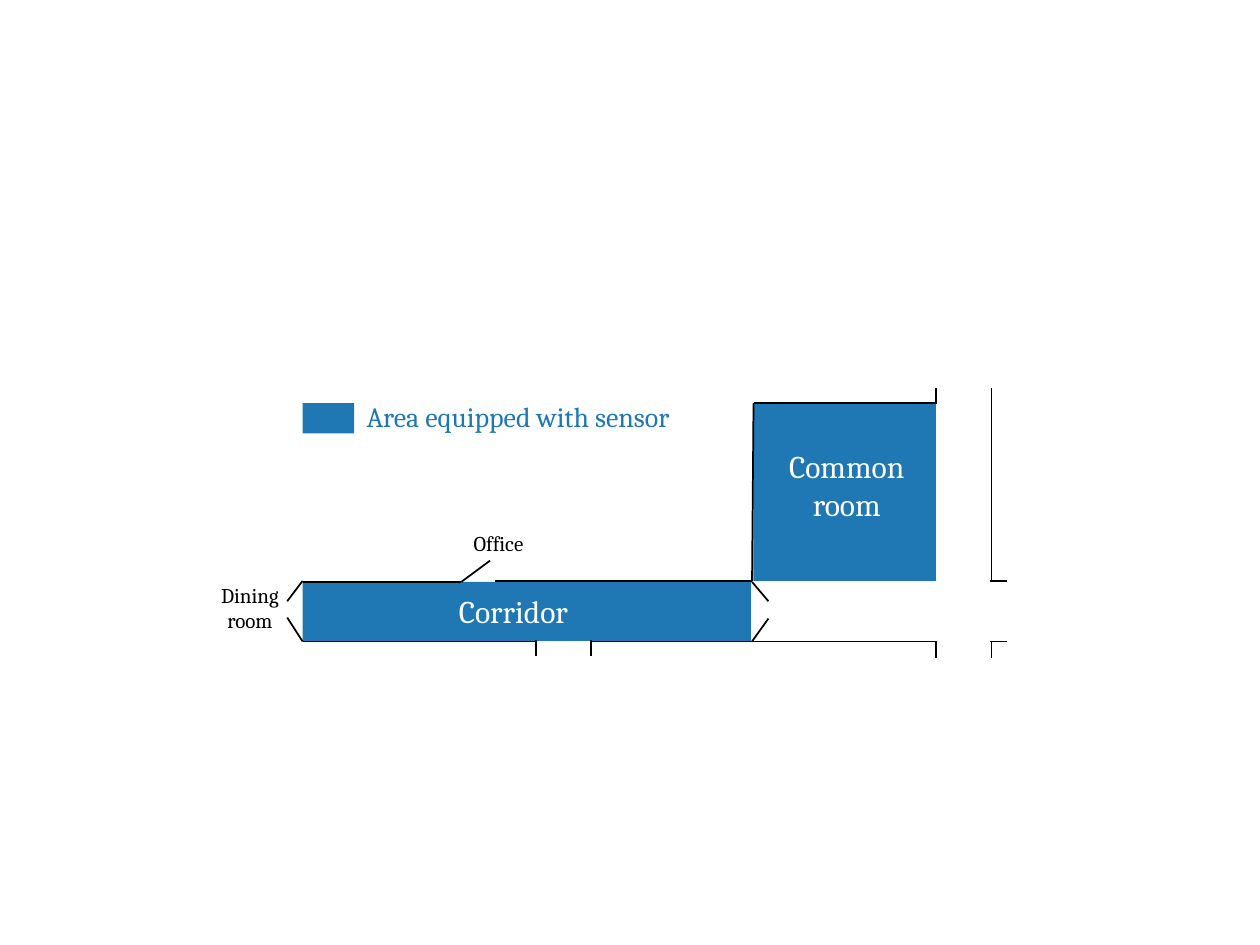
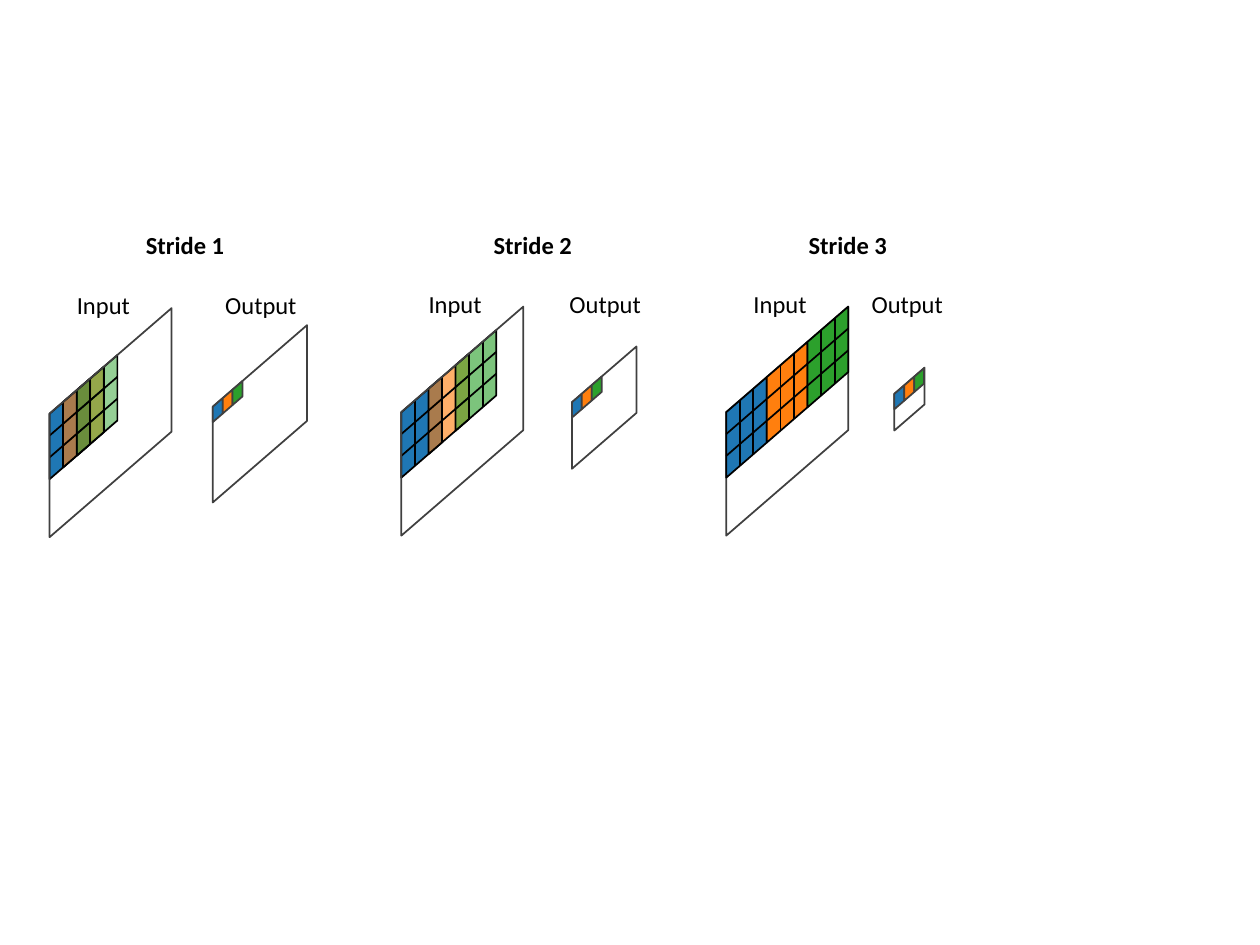
"""Draw a sensor floor plan and a comparison of convolution strides."""
from lxml import etree
from pptx import Presentation
from pptx.dml.color import RGBColor
from pptx.enum.shapes import MSO_CONNECTOR, MSO_SHAPE
from pptx.enum.text import MSO_AUTO_SIZE, PP_ALIGN
from pptx.oxml.ns import qn
from pptx.util import Cm, Pt

RECT, SLANT = MSO_SHAPE.RECTANGLE, MSO_SHAPE.PARALLELOGRAM
STRAIGHT = MSO_CONNECTOR.STRAIGHT
LEFT, CENTER = PP_ALIGN.LEFT, PP_ALIGN.CENTER
FIT = MSO_AUTO_SIZE.SHAPE_TO_FIT_TEXT

COLORS = {"blue": "1F77B4", "orange": "FF7F0E", "green": "2CA02C",
          "black": "000000", "white": "FFFFFF", "gray": "404040"}
STEP_COLORS = ("blue", "orange", "green")

SLOPE = 0.865
INPUT_W, INPUT_SIDE = 2.46, 2.49
KERNEL_W, KERNEL_SIDE = 0.82, 1.32
PIXEL_W, PIXEL_SIDE = 0.2, 0.31
CELLS = 3

WALLS = [
    (6.1, 11.73, 9.3, 11.73), (6.1, 12.93, 10.8, 12.93),
    (9.98, 11.71, 15.16, 11.71), (11.91, 12.93, 18.87, 12.93),
    (10.8, 12.9, 10.8, 13.23), (11.91, 12.9, 11.91, 13.23),
    (18.87, 12.93, 18.87, 13.26), (19.99, 12.93, 19.99, 13.26),
    (19.96, 12.93, 20.29, 12.93), (19.96, 11.71, 20.29, 11.71),
    (19.99, 8.13, 19.99, 11.73), (18.87, 8.13, 15.19, 8.13),
    (15.19, 8.13, 15.16, 11.71), (18.87, 7.82, 18.87, 8.15),
    (19.99, 7.82, 19.99, 8.15),
]
DOORS = [
    (9.3, 11.73, 9.88, 11.3),
    (15.16, 11.73, 15.49, 12.12), (15.49, 12.47, 15.16, 12.93),
    (6.1, 11.71, 5.79, 12.12), (5.79, 12.45, 6.1, 12.93),
]
SENSOR_AREAS = [(15.19, 8.13, 3.68, 3.58), (6.1, 11.73, 9.04, 1.19),
                (6.1, 8.13, 1.04, 0.61)]

STRIDES = [
    {"stride": 1, "title_x": 2.69, "input": (1.0, 8.34), "alphas": (100, 62, 50),
     "output": (4.29, 8.2), "output_size": (1.9, 1.93), "output_label_x": 4.29},
    {"stride": 2, "title_x": 9.7, "input": (8.09, 8.31), "alphas": (100, 62, 62),
     "output": (11.53, 8.11), "output_size": (1.3, 1.34), "output_label_x": 11.23},
    {"stride": 3, "title_x": 16.05, "input": (14.64, 8.31), "alphas": (100, 100, 100),
     "output": (18.03, 7.94), "output_size": (0.61, 0.74), "output_label_x": 17.32},
]


def rgb(name):
    """Return the named colour."""
    return RGBColor.from_string(COLORS[name])


def paint(sp, fill=None, line=None, alpha=100):
    """Set fill, opacity in percent and outline of a shape."""
    sp.shadow.inherit = False
    if fill:
        sp.fill.solid()
        sp.fill.fore_color.rgb = rgb(fill)
        if alpha < 100:
            clr = sp._element.spPr.find(qn("a:solidFill"))[0]
            etree.SubElement(clr, qn("a:alpha")).set("val", str(alpha * 1000))
    else:
        sp.fill.background()
    if line:
        sp.line.color.rgb = rgb(line)
        sp.line.width = Pt(1)
    else:
        sp.line.fill.background()


def add_area(shapes, x, y, w, h):
    """Add a filled rectangle without outline."""
    paint(shapes.add_shape(RECT, Cm(x), Cm(y), Cm(w), Cm(h)), "blue")


def add_line(shapes, x1, y1, x2, y2):
    """Add a thin black line."""
    cn = shapes.add_connector(STRAIGHT, Cm(x1), Cm(y1), Cm(x2), Cm(y2))
    cn.line.color.rgb = rgb("black")
    cn.line.width = Pt(1)
    etree.SubElement(cn._element.spPr, qn("a:effectLst"))


def add_text(shapes, x, y, w, h, lines, font, size, color="black", align=LEFT, bold=False):
    """Add an unwrapped label with one paragraph per line."""
    tf = shapes.add_textbox(Cm(x), Cm(y), Cm(w), Cm(h)).text_frame
    tf.word_wrap = False
    tf.auto_size = FIT
    for i, line in enumerate(lines):
        p = tf.add_paragraph() if i else tf.paragraphs[0]
        p.alignment = align
        r = p.add_run()
        r.text = line
        r.font.name = font
        r.font.size = Pt(size)
        r.font.bold = bold
        r.font.color.rgb = rgb(color)


def add_slanted(shapes, x, y, w, side, fill=None, line="gray", alpha=100):
    """Add an upright slanted plane whose upper left corner is x, y."""
    rise = w * SLOPE
    length = side + rise
    cx, cy = x + w / 2, y + (side - rise) / 2
    sp = shapes.add_shape(SLANT, Cm(cx - length / 2), Cm(cy - w / 2), Cm(length), Cm(w))
    sp.adjustments[0] = SLOPE
    sp.rotation = 270
    sp._element.spPr.find(qn("a:xfrm")).set("flipH", "1")
    paint(sp, fill, line, alpha)


def add_kernel(shapes, x, y, color, alpha):
    """Add a slanted kernel divided into equal cells."""
    group = shapes.add_group_shape().shapes
    add_slanted(group, x, y, KERNEL_W, KERNEL_SIDE, color, "black", alpha)
    for i in range(1, CELLS):
        row_y = y + i * KERNEL_SIDE / CELLS
        add_line(group, x, row_y, x + KERNEL_W, row_y - KERNEL_W * SLOPE)
    for i in range(1, CELLS):
        dx = i * KERNEL_W / CELLS
        top = y - dx * SLOPE
        add_line(group, x + dx, top, x + dx, top + KERNEL_SIDE)


def add_input(shapes, x, y, stride, alphas):
    """Add the input plane and the kernel positions on it."""
    if stride == CELLS:
        add_slanted(shapes, x, y, INPUT_W, INPUT_SIDE)
    for i, (color, alpha) in enumerate(zip(STEP_COLORS, alphas)):
        dx = i * stride * KERNEL_W / CELLS
        add_kernel(shapes, x + dx, y - dx * SLOPE, color, alpha)
    if stride < CELLS:
        add_slanted(shapes, x, y, INPUT_W, INPUT_SIDE)


def add_output(shapes, x, y, w, side):
    """Add the output plane and its first three pixels."""
    add_slanted(shapes, x, y, w, side)
    for i, color in enumerate(STEP_COLORS):
        dx = i * PIXEL_W
        add_slanted(shapes, x + dx, y - dx * SLOPE, PIXEL_W, PIXEL_SIDE, color)


def build_floor_plan(shapes):
    """Draw the floor plan with the sensor areas."""
    for area in SENSOR_AREAS:
        add_area(shapes, *area)
    for line in WALLS + DOORS:
        add_line(shapes, *line)
    add_text(shapes, 4.19, 11.61, 1.7, 1.27, ["Dining", "room"], "Cambria", 12, align=CENTER)
    add_text(shapes, 9.3, 10.57, 1.6, 0.76, ["Office"], "Cambria", 12)
    add_text(shapes, 8.99, 11.81, 2.72, 1.02, ["Corridor"], "Cambria", 18, "white", CENTER)
    add_text(shapes, 15.62, 8.89, 2.9, 1.8, ["Common", "room"], "Cambria", 18, "white", CENTER)
    add_text(shapes, 7.14, 7.92, 6.63, 0.94, ["Area equipped with sensor"], "Cambria", 16, "blue")


def build_strides(shapes):
    """Draw input and output planes for each stride."""
    for d in STRIDES:
        x, y = d["input"]
        add_input(shapes, x, y, d["stride"], d["alphas"])
        add_output(shapes, *d["output"], *d["output_size"])
        add_text(shapes, x + 0.3, y - 2.61, 1.6, 0.86, ["Input"], "Calibri", 14)
        add_text(shapes, d["output_label_x"], y - 2.61, 1.98, 0.86, ["Output"], "Calibri", 14)
        add_text(shapes, d["title_x"], 4.52, 2.11, 0.86, [f"Stride {d['stride']}"],
                 "Calibri", 14, bold=True)


def main():
    """Build and save the presentation."""
    prs = Presentation()
    prs.slide_width, prs.slide_height = Cm(25.4), Cm(19.05)
    for build in (build_floor_plan, build_strides):
        build(prs.slides.add_slide(prs.slide_layouts[6]).shapes)
    prs.save("out.pptx")


main()
